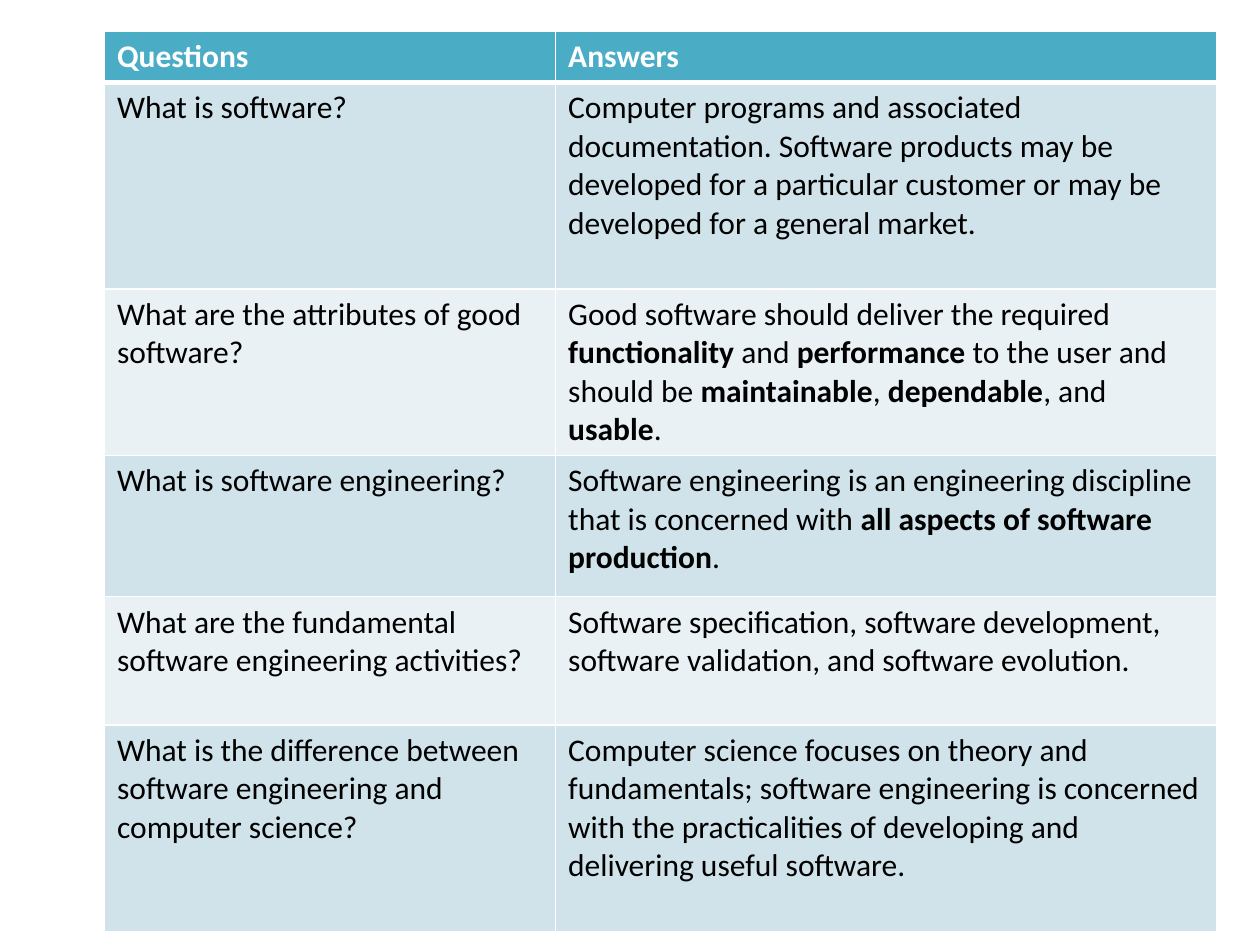
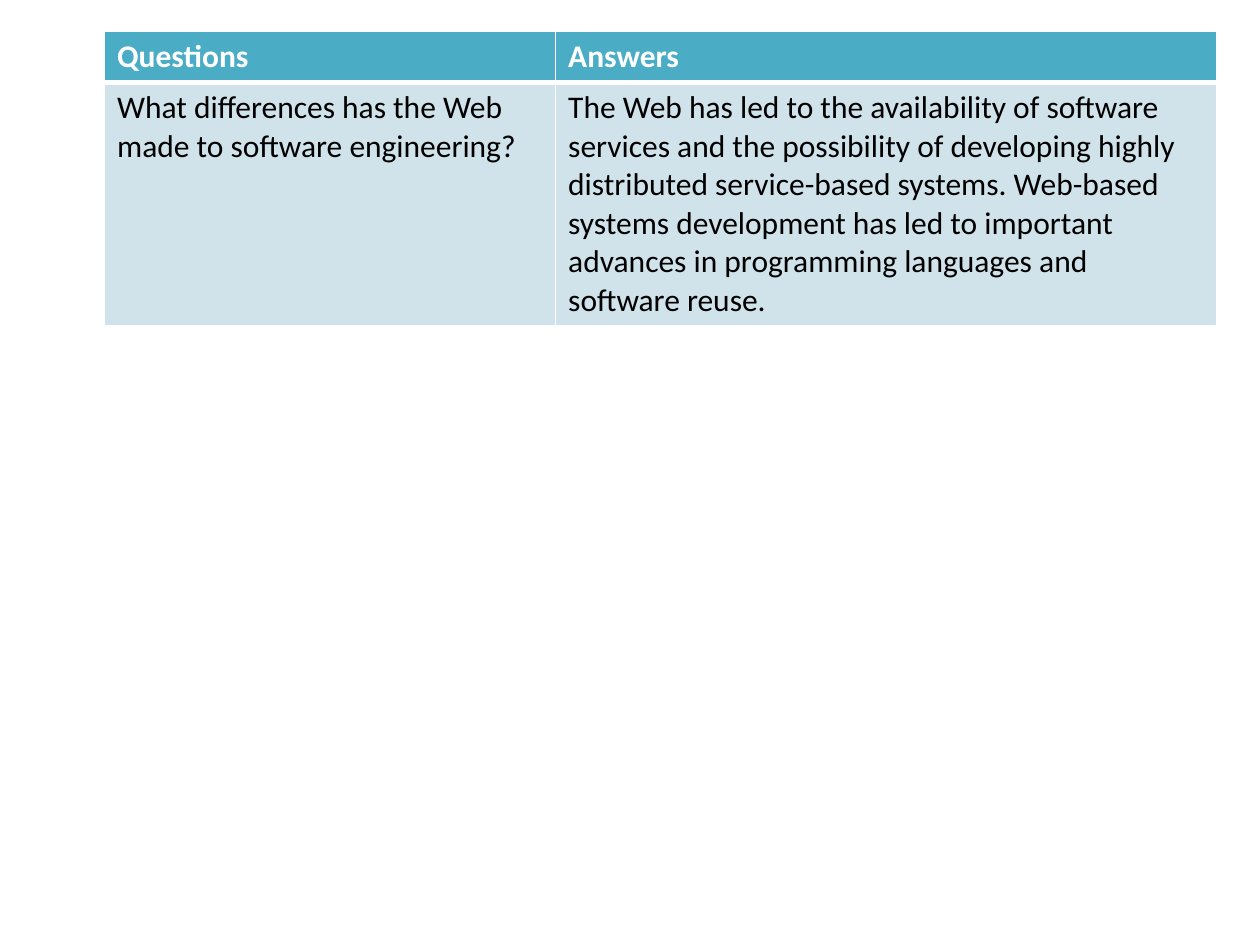
from dataclasses import dataclass

from lxml import etree
from pptx import Presentation
from pptx import util as u
from pptx.dml.color import RGBColor
from pptx.oxml import ns


@dataclass(frozen=True)
class Theme:
    font: str = "Calibri"
    text_size: int = 18
    header_fill: str = "4BACC6"
    header_text: str = "FFFFFF"
    body_fills: tuple = ("D0E3EA", "E9F1F5")
    body_text: str = "000000"
    rule: str = "FFFFFF"
    thin: int = 1
    thick: int = 3


THEME = Theme()
HEADINGS = ("Questions", "Answers")
HEADER_HEIGHT = 0.39
COLUMN_WIDTHS = (3.58, 5.25)
FAQ_ORIGIN = (0.83, 0.25)

# Each entry: question, answer (** marks bold), row height
BASICS = [
    ("What is software?",
     "Computer programs and associated documentation. Software products may be "
     "developed for a particular customer or may be developed for a general market.",
     1.64),
    ("What are the attributes of good software?",
     "Good software should deliver the required **functionality** and **performance** "
     "to the user and should be **maintainable**, **dependable**, and **usable**.",
     1.25),
    ("What is software engineering?",
     "Software engineering is an engineering discipline that is concerned with "
     "**all aspects of software production**.",
     1.12),
    ("What are the fundamental software engineering activities?",
     "Software specification, software development, software validation, and "
     "software evolution.",
     0.96 + 0.06),
    ("What is the difference between software engineering and computer science?",
     "Computer science focuses on theory and fundamentals; software engineering is "
     "concerned with the practicalities of developing and delivering useful software.",
     1.64),
]
WEB = [
    ("What differences has the Web made to software engineering?",
     "The Web has led to the availability of software services and the possibility of "
     "developing highly distributed service-based systems. Web-based systems "
     "development has led to important advances in programming languages and "
     "software reuse.",
     1.7),
]


def set_borders(cell, top, bottom):
    """Rule all four sides; the sides are always thin."""
    properties = cell._tc.get_or_add_tcPr()
    widths = {"L": THEME.thin, "R": THEME.thin, "T": top, "B": bottom}
    for side, width in widths.items():
        line = etree.SubElement(properties, ns.qn(f"a:ln{side}"), w=str(u.Pt(width)))
        fill = etree.SubElement(line, ns.qn("a:solidFill"))
        etree.SubElement(fill, ns.qn("a:srgbClr"), val=THEME.rule)


def write_cell(cell, content, color, header=False):
    paragraph = cell.text_frame.paragraphs[0]
    for index, part in enumerate(content.split("**")):
        run = paragraph.add_run()
        run.text = part
        run.font.name = THEME.font
        run.font.size = u.Pt(THEME.text_size)
        run.font.bold = header or index % 2 == 1
        run.font.color.rgb = RGBColor.from_string(color)


def add_faq_table(slide, left, top, entries):
    heights = [HEADER_HEIGHT] + [height for _, _, height in entries]
    frame = slide.shapes.add_table(
        len(heights), len(HEADINGS), u.Inches(left), u.Inches(top),
        u.Inches(sum(COLUMN_WIDTHS)), u.Inches(sum(heights)))
    faq = frame.table
    for column, width in zip(faq.columns, COLUMN_WIDTHS):
        column.width = u.Inches(width)

    # Header row, then body rows in alternating tints
    rows = [HEADINGS] + [(question, answer) for question, answer, _ in entries]
    for r, contents in enumerate(rows):
        faq.rows[r].height = u.Inches(heights[r])
        header = r == 0
        fill = THEME.header_fill if header else THEME.body_fills[(r - 1) % 2]
        color = THEME.header_text if header else THEME.body_text
        for c, content in enumerate(contents):
            cell = faq.cell(r, c)
            set_borders(cell,
                        top=THEME.thick if r == 1 else THEME.thin,
                        bottom=THEME.thick if header else THEME.thin)
            cell.fill.solid()
            cell.fill.fore_color.rgb = RGBColor.from_string(fill)
            write_cell(cell, content, color, header)


def main():
    deck = Presentation()
    deck.slide_width, deck.slide_height = u.Inches(10), u.Inches(7.5)
    for entries in (BASICS, WEB):
        slide = deck.slides.add_slide(deck.slide_layouts[6])
        add_faq_table(slide, *FAQ_ORIGIN, entries)
    deck.save("out.pptx")


if __name__ == "__main__":
    main()
